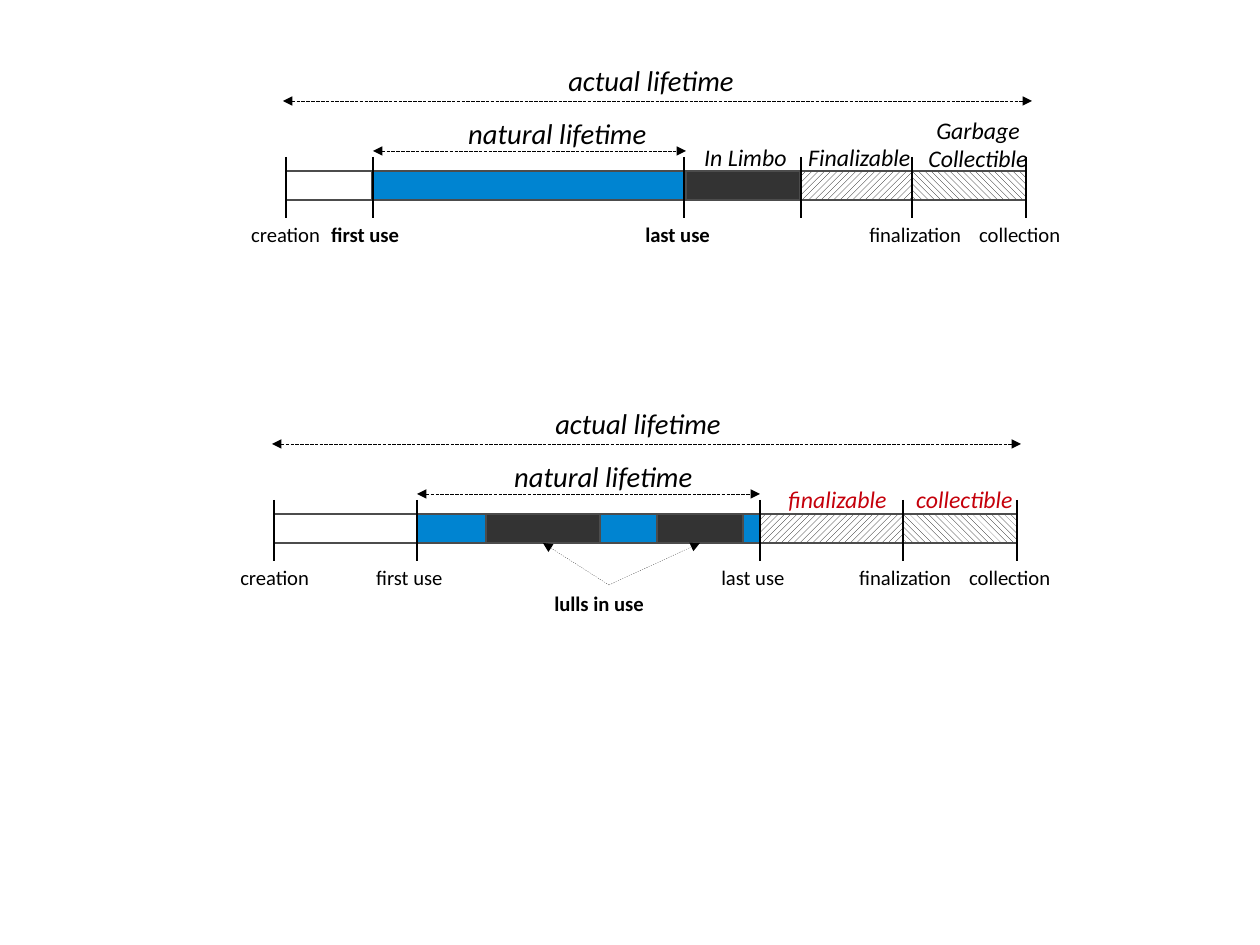
from lxml.etree import SubElement
from pptx import Presentation
from pptx.dml.color import RGBColor
from pptx.enum.dml import MSO_LINE, MSO_PATTERN
from pptx.enum.shapes import MSO_CONNECTOR, MSO_SHAPE
from pptx.enum.text import MSO_AUTO_SIZE, PP_ALIGN
from pptx.oxml.ns import qn
from pptx.util import Emu, Pt

EMU_PER_PX = 8000
BLACK, EDGE, RED = "000000", "4C4C4C", "C5000B"
IN_USE, IDLE = "0084D1", "333333"
FINALIZABLE = MSO_PATTERN.WIDE_UPWARD_DIAGONAL
COLLECTIBLE = MSO_PATTERN.WIDE_DOWNWARD_DIAGONAL
BAR_HEIGHT = 29
LABEL_HEIGHTS = {13: 39, 15: 43, 18: 50}


def px(length):
    return Emu(length * EMU_PER_PX)


def color(hex_code):
    return RGBColor.from_string(hex_code)


def add_label(slide, text, left, top, width, size=13, bold=False, italic=False,
              hex_code=BLACK, align=PP_ALIGN.LEFT):
    height = LABEL_HEIGHTS[size] + 33 * text.count("\n")
    label = slide.shapes.add_textbox(px(left), px(top), px(width), px(height))
    frame = label.text_frame
    frame.word_wrap = False
    frame.auto_size = MSO_AUTO_SIZE.SHAPE_TO_FIT_TEXT
    frame.text = text
    for paragraph in frame.paragraphs:
        paragraph.alignment = align
        for run in paragraph.runs:
            run.font.name = "Calibri"
            run.font.size = Pt(size)
            run.font.bold = bold
            run.font.italic = italic
            run.font.color.rgb = color(hex_code)


def add_phase(slide, left, top, width, fill=None):
    """Draw one stretch of the bar: empty, solid (hex) or hatched (pattern)."""
    phase = slide.shapes.add_shape(MSO_SHAPE.RECTANGLE, px(left), px(top),
                                   px(width), px(BAR_HEIGHT))
    phase.shadow.inherit = False
    phase.line.color.rgb = color(EDGE)
    phase.line.width = Pt(1.45)
    if fill is None:
        phase.fill.background()
    elif isinstance(fill, str):
        phase.fill.solid()
        phase.fill.fore_color.rgb = color(fill)
    else:
        phase.fill.patterned()
        phase.fill.pattern = fill
        phase.fill.fore_color.rgb = color(BLACK)
        phase.fill.back_color.rgb = color("FFFFFF")
    return phase


def add_line(slide, x1, y1, x2, y2, weight=0, dash=None, arrows=()):
    line = slide.shapes.add_connector(MSO_CONNECTOR.STRAIGHT,
                                      px(x1), px(y1), px(x2), px(y2))
    line.line.color.rgb = color(BLACK)
    if dash is not None:
        line.line.dash_style = dash
    properties = line._element.spPr
    outline = properties.find(qn("a:ln"))
    outline.set("w", str(int(Pt(weight))))  # keeps an explicit zero for hairlines
    for end in arrows:
        SubElement(outline, qn(f"a:{end}"), type="triangle")
    SubElement(properties, qn("a:effectLst"))
    return line


def add_timeline(slide, top, phases, ticks, lifetimes, events):
    """Draw a bar at top with its ticks, lifetime spans and event labels."""
    bars = [add_phase(slide, left, top, width, fill)
            for left, width, fill in phases]
    for x in ticks:
        add_line(slide, x, top - 14, x, top + 47, weight=1.45)

    # Lifetime spans above the bar
    for text, left, width, rise, start, end, span_rise in lifetimes:
        add_label(slide, text, left, top - rise, width, size=18, italic=True)
        add_line(slide, start, top - span_rise, end, top - span_rise,
                 dash=MSO_LINE.SQUARE_DOT, arrows=("headEnd", "tailEnd"))

    # Events below the bar
    for text, left, width, bold in events:
        add_label(slide, text, left, top + 45, width, bold=bold)
    return bars


def add_limbo_timeline(slide):
    top = 171
    add_timeline(
        slide, top,
        phases=[(286, 86, None), (373, 313, IN_USE), (686, 114, IDLE),
                (800, 112, FINALIZABLE), (912, 114, COLLECTIBLE)],
        ticks=[286, 373, 684, 801, 912, 1026],
        lifetimes=[("actual lifetime", 557, 203, 114, 283, 1032, 70),
                   ("natural lifetime", 457, 314, 61, 373, 686, 20)],
        events=[("creation", 240, 102, False), ("first use", 320, 107, True),
                ("last use", 634, 102, True), ("finalization", 858, 129, False),
                ("collection", 968, 115, False)])
    for text, left, rise, width, align in [
            ("In Limbo", 693, 34, 115, PP_ALIGN.LEFT),
            ("Finalizable", 797, 34, 136, PP_ALIGN.LEFT),
            ("Garbage\nCollectible", 913, 61, 130, PP_ALIGN.CENTER)]:
        add_label(slide, text, left, top - rise, width, size=15, italic=True,
                  align=align)


def add_lulls_timeline(slide):
    top = 514
    bars = add_timeline(
        slide, top,
        phases=[(274, 143, None), (417, 343, IN_USE), (760, 143, FINALIZABLE),
                (903, 114, COLLECTIBLE), (486, 114, IDLE), (657, 86, IDLE)],
        ticks=[274, 417, 760, 903, 1017],
        lifetimes=[("actual lifetime", 544, 203, 114, 272, 1021, 70),
                   ("natural lifetime", 503, 217, 61, 417, 760, 20)],
        events=[("creation", 229, 102, False), ("first use", 365, 101, False),
                ("last use", 710, 96, False), ("finalization", 848, 129, False),
                ("collection", 958, 115, False)])
    for text, left, width in [("finalizable", 777, 131), ("collectible", 905, 128)]:
        add_label(slide, text, left, top - 35, width, size=15, italic=True,
                  hex_code=RED)

    # Pointers from the caption to both idle stretches
    add_label(slide, "lulls in use", 543, top + 71, 131, bold=True)
    for lull in bars[-2:]:
        pointer = add_line(slide, 609, top + 71, 609, top + BAR_HEIGHT,
                           dash=MSO_LINE.ROUND_DOT, arrows=("tailEnd",))
        pointer.end_connect(lull, 2)


def main():
    deck = Presentation()
    deck.slide_width, deck.slide_height = px(1260), px(945)
    slide = deck.slides.add_slide(deck.slide_layouts[6])
    add_limbo_timeline(slide)
    add_lulls_timeline(slide)
    deck.save("out.pptx")


if __name__ == "__main__":
    main()
